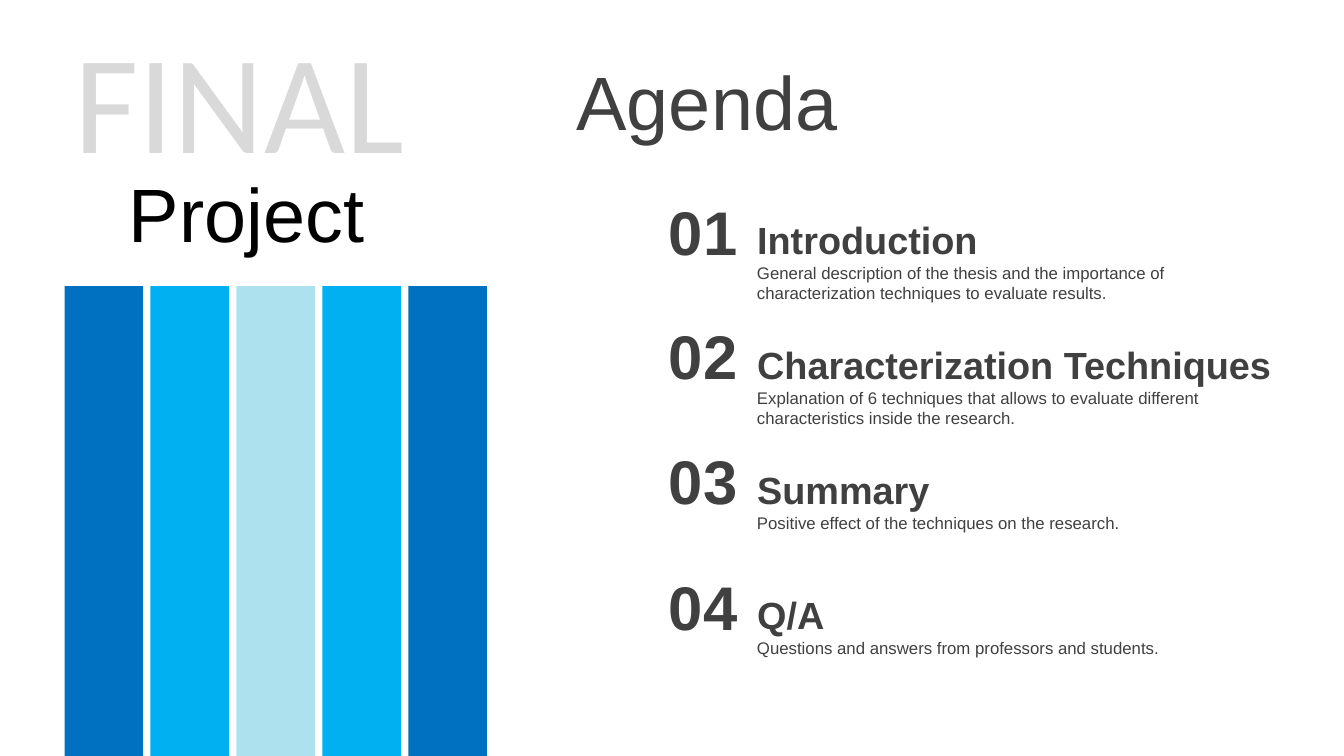
from pptx import Presentation
from pptx.dml.color import RGBColor
from pptx.enum.shapes import MSO_SHAPE
from pptx.enum.text import MSO_ANCHOR, MSO_AUTO_SIZE, PP_ALIGN
from pptx.util import Pt

PX = 9144
WIDE, HIGH = 1333, 750
RECT = MSO_SHAPE.RECTANGLE
TOP, MIDDLE = MSO_ANCHOR.TOP, MSO_ANCHOR.MIDDLE
LEFT, CENTER = PP_ALIGN.LEFT, PP_ALIGN.CENTER
GROW = MSO_AUTO_SIZE.SHAPE_TO_FIT_TEXT

DARK = RGBColor(0x40, 0x40, 0x40)
PALE = RGBColor(0xD9, 0xD9, 0xD9)
BLACK = RGBColor(0x00, 0x00, 0x00)
BLUE = RGBColor(0x00, 0x70, 0xC0)
SKY = RGBColor(0x00, 0xB0, 0xF0)
ICE = RGBColor(0xAD, 0xE1, 0xED)

BARS = [BLUE, SKY, ICE, SKY, BLUE]
TOPICS = [
    ("Introduction", 493, 50,
     "General description of the thesis and the importance of "
     "characterization techniques to evaluate results."),
    ("Characterization Techniques", 537, 50,
     "Explanation of 6 techniques that allows to evaluate different "
     "characteristics inside the research."),
    ("Summary", 493, 30, "Positive effect of the techniques on the research."),
    ("Q/A", 493, 30, "Questions and answers from professors and students."),
]


def add_text(shapes, box, text, size, color=DARK, font="Arial",
             bold=False, align=LEFT, anchor=TOP, inset=10):
    label = shapes.add_textbox(*(v * PX for v in box))
    frame = label.text_frame
    frame.word_wrap = True
    frame.auto_size = GROW
    frame.vertical_anchor = anchor
    frame.margin_left = frame.margin_right = inset * PX
    frame.margin_top = frame.margin_bottom = 5 * PX
    frame.text = text
    line = frame.paragraphs[0]
    line.alignment = align
    style = line.runs[0].font
    style.name = font
    style.size = Pt(size)
    style.bold = bold
    style.color.rgb = color


def add_bars(shapes, box):
    left, top, width, height = box
    thick = 78
    step = (width - thick) / (len(BARS) - 1)
    group = shapes.add_group_shape()
    for i, color in enumerate(BARS):
        x = round((left + i * step) * PX)
        bar = group.shapes.add_shape(RECT, x, top * PX, thick * PX, height * PX)
        bar.shadow.inherit = False
        bar.fill.solid()
        bar.fill.fore_color.rgb = color
        bar.line.fill.background()


def add_cover(shapes, box):
    left, top, width, height = box
    add_bars(shapes, (left, top + 276, width - 1, height - 276))
    add_text(shapes, (left, top, width, 178), "FINAL", 100, PALE, "Calibri")
    add_text(shapes, (left - 486, top + 152, WIDE, 101), "Project", 54, BLACK,
             align=CENTER, anchor=MIDDLE)


def add_topic(shapes, left, top, number, topic):
    title, width, height, detail = topic
    group = shapes.add_group_shape().shapes
    add_text(group, (left + 96, top + 69, 493, height), detail, 12)
    add_text(group, (left + 94, top + 23, width, 56), title, 27,
             bold=True, inset=12)
    add_text(group, (left, top, 105, 84), f"{number:02}", 44,
             bold=True, align=CENTER, inset=12)


def add_agenda(shapes, box):
    left, top, width, height = box
    add_text(shapes, (left, top, width, 101), "Agenda", 54, anchor=MIDDLE)
    step = (height - 138) // len(TOPICS)
    for i, topic in enumerate(TOPICS):
        add_topic(shapes, left + 83, top + 138 + i * step, i + 1, topic)


def main():
    deck = Presentation()
    deck.slide_width = WIDE * PX
    deck.slide_height = HIGH * PX
    shapes = deck.slides.add_slide(deck.slide_layouts[6]).shapes
    add_agenda(shapes, (562, 49, 672, 634))
    add_cover(shapes, (64, 8, 420, 742))
    deck.save("out.pptx")


if __name__ == "__main__":
    main()
